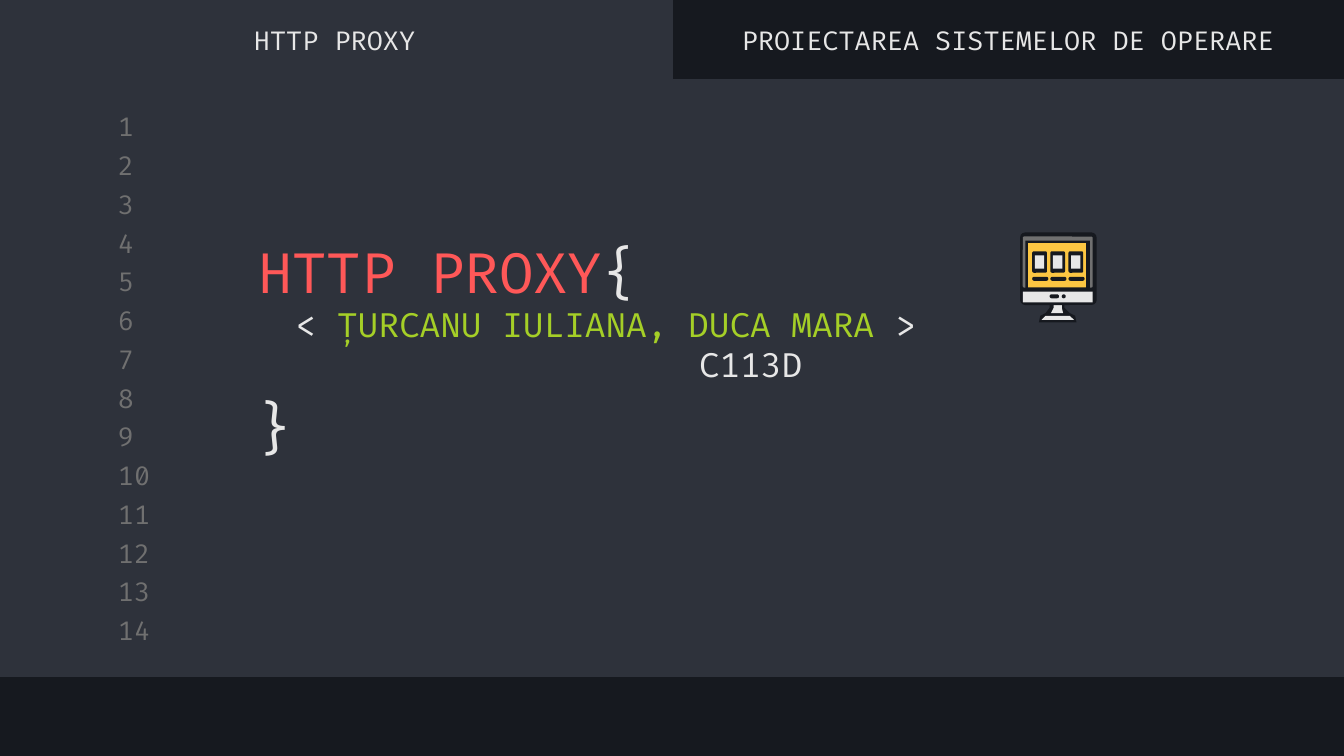
"""Build the HTTP proxy title slide, styled as a code editor."""
from pptx import Presentation
from pptx import util as u
from pptx.dml.color import RGBColor
from pptx.enum import shapes, text

NIGHT, SLATE, GREY, LIGHT = "16191F", "2E323B", "707070", "E7E7E7"
RED, GREEN, YELLOW = "FF5858", "A5CF27", "FCC642"
RECT = shapes.MSO_SHAPE.RECTANGLE
ROUND = shapes.MSO_SHAPE.ROUNDED_RECTANGLE
OVAL = shapes.MSO_SHAPE.OVAL

WIDTH = 10
HEIGHT = WIDTH * 9 / 16
PANELS = [(0, 0.59, 10, 4.44), (0, 0, 5, 0.65)]
LINE_COUNT, FIRST_TOP, LAST_TOP = 14, 0.82, 4.57
TITLE = [[("HTTP PROXY", RED), ("{", LIGHT)]]
AUTHORS = [
    [("< ", LIGHT), ("ȚURCANU IULIANA, DUCA MARA ", GREEN), (">", LIGHT)],
    [("C113D", LIGHT)],
]
TABS = [(-0.01, "HTTP PROXY"), (5, "PROIECTAREA SISTEMELOR DE OPERARE")]

STAND = [
    (NIGHT, [(7.81, 2.27), (7.81, 2.29), (7.78, 2.33), (7.74, 2.35), (7.73, 2.4),
             (8.01, 2.4), (8, 2.35), (7.96, 2.33), (7.92, 2.29), (7.92, 2.27)]),
    (LIGHT, [(7.84, 2.27), (7.84, 2.29), (7.82, 2.33),
             (7.91, 2.33), (7.9, 2.29), (7.9, 2.27)]),
    (LIGHT, [(7.78, 2.35), (7.75, 2.38), (7.99, 2.38), (7.96, 2.35)]),
]
MONITOR = [
    (ROUND, NIGHT, (7.59, 1.73, 0.57, 0.54), 0.07),
    (ROUND, GREY, (7.61, 1.76, 0.52, 0.38), 0.03),
    (RECT, NIGHT, (7.63, 1.79, 0.48, 0.36), None),
    (RECT, YELLOW, (7.65, 1.81, 0.43, 0.33), None),
    (RECT, LIGHT, (7.61, 2.17, 0.52, 0.08), None),
    (ROUND, NIGHT, (7.81, 2.19, 0.07, 0.03), 0.5),
    (OVAL, NIGHT, (7.9, 2.19, 0.03, 0.03), None),
]
WINDOW = [
    (ROUND, NIGHT, (7.68, 1.87, 0.11, 0.16), 0.12),
    (RECT, LIGHT, (7.7, 1.9, 0.07, 0.1), None),
    (ROUND, NIGHT, (7.68, 2.06, 0.12, 0.03), 0.5),
]
WINDOW_COUNT, WINDOW_SPAN = 3, 0.27


def color(value):
    return RGBColor.from_string(value)


def inches(values):
    return [u.Inches(value) for value in values]


def paint(shape, fill):
    shape.shadow.inherit = False
    shape.fill.solid()
    shape.fill.fore_color.rgb = color(fill)
    shape.line.fill.background()


def add_part(parent, kind, fill, area, corner=None):
    shape = parent.add_shape(kind, *inches(area))
    paint(shape, fill)
    if corner is not None:
        shape.adjustments[0] = corner
    return shape


def write(box, area, lines, size, align=text.PP_ALIGN.LEFT):
    box.left, box.top, box.width, box.height = inches(area)
    frame = box.text_frame
    frame.word_wrap = True
    frame.auto_size = text.MSO_AUTO_SIZE.NONE
    frame.vertical_anchor = text.MSO_ANCHOR.MIDDLE
    frame.margin_left = frame.margin_right = u.Inches(0.1)
    frame.margin_top = frame.margin_bottom = u.Inches(0.1)
    for index, spans in enumerate(lines):
        para = frame.add_paragraph() if index else frame.paragraphs[0]
        para.alignment = align
        para.space_before = u.Pt(0)
        para.font.size = u.Pt(size)
        para.font.name = "Fira Code"
        for words, shade in spans:
            span = para.add_run()
            span.text = words
            span.font.color.rgb = color(shade)
    return frame


def add_label(slide, area, words, size, shade, align=text.PP_ALIGN.LEFT):
    box = slide.shapes.add_textbox(*inches(area))
    return write(box, area, [[(words, shade)]], size, align)


def add_monitor(slide):
    group = slide.shapes.add_group_shape().shapes
    for fill, points in STAND:
        corners = [inches(point) for point in points]
        builder = group.build_freeform(*corners[0])
        builder.add_line_segments(corners[1:])
        paint(builder.convert_to_shape(), fill)
    for part in MONITOR:
        add_part(group, *part)
    pitch = WINDOW_SPAN / (WINDOW_COUNT - 1)
    for column in range(WINDOW_COUNT):
        for kind, fill, (left, *rest), corner in WINDOW:
            add_part(group, kind, fill, (left + column * pitch, *rest), corner)


def main():
    deck = Presentation()
    deck.slide_width, deck.slide_height = inches((WIDTH, HEIGHT))
    slide = deck.slides.add_slide(deck.slide_layouts[0])
    slide.background.fill.solid()
    slide.background.fill.fore_color.rgb = color(NIGHT)
    title, authors = slide.placeholders

    for area in PANELS:
        panel = add_part(slide.shapes, RECT, SLATE, area)
        panel.line.color.rgb = color(SLATE)
        panel.line.width = u.Pt(0.75)
    pitch = (LAST_TOP - FIRST_TOP) / (LINE_COUNT - 1)
    for row in range(LINE_COUNT):
        area = (0.78, FIRST_TOP + row * pitch, 0.47, 0.24)
        add_label(slide, area, str(row + 1), 14, GREY)

    for box in (title, authors):
        box.element.getparent().append(box.element)
    write(title, (1.82, 1.73, 6.33, 0.57), TITLE, 30)
    frame = write(authors, (2.1, 2.31, 6.78, 0.5), AUTHORS, 18)
    class_line = frame.paragraphs[1]
    class_line._p.get_or_add_pPr().set("marL", str(u.Inches(3)))

    for left, words in TABS:
        add_label(slide, (left, 0.1, 5, 0.39), words, 14, LIGHT, text.PP_ALIGN.CENTER)
    brace = add_label(slide, (1.82, 2.82, 0.5, 0.54), "}", 30, LIGHT)
    brace.vertical_anchor = text.MSO_ANCHOR.TOP
    add_monitor(slide)
    deck.save("out.pptx")


if __name__ == "__main__":
    main()
